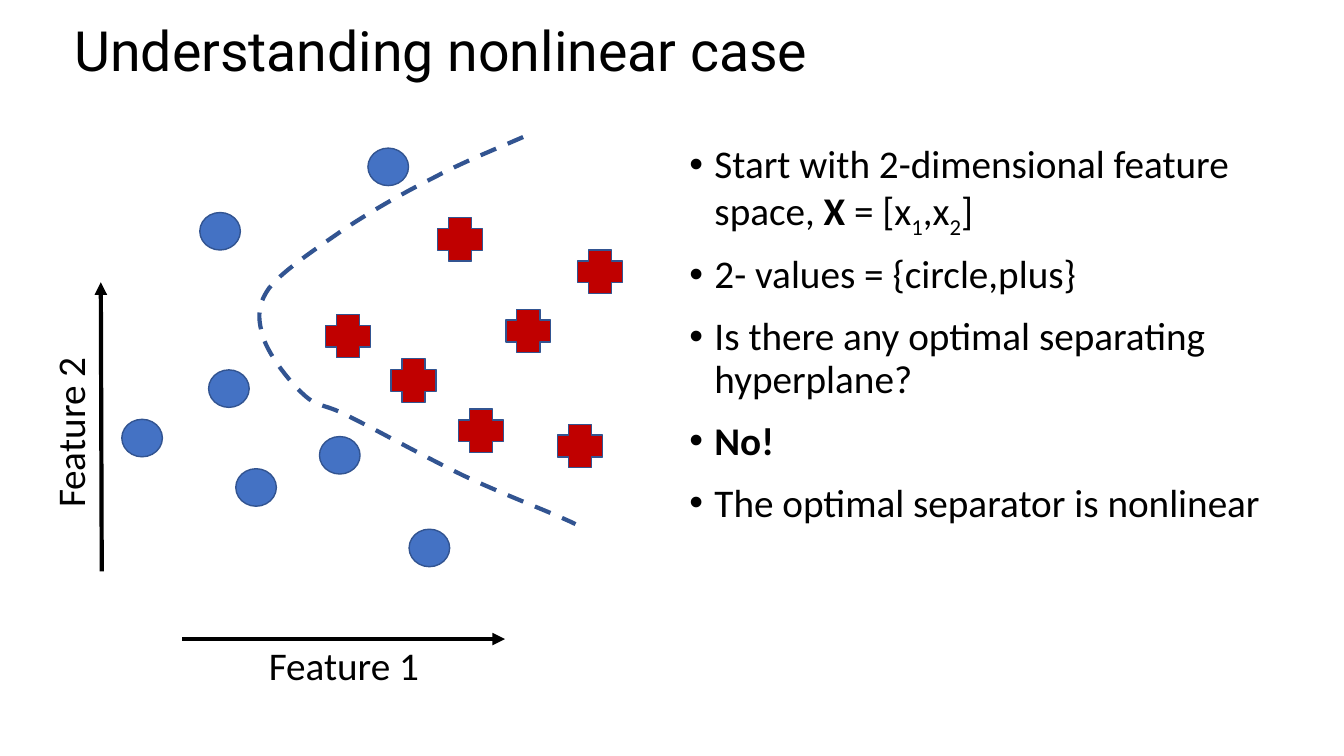
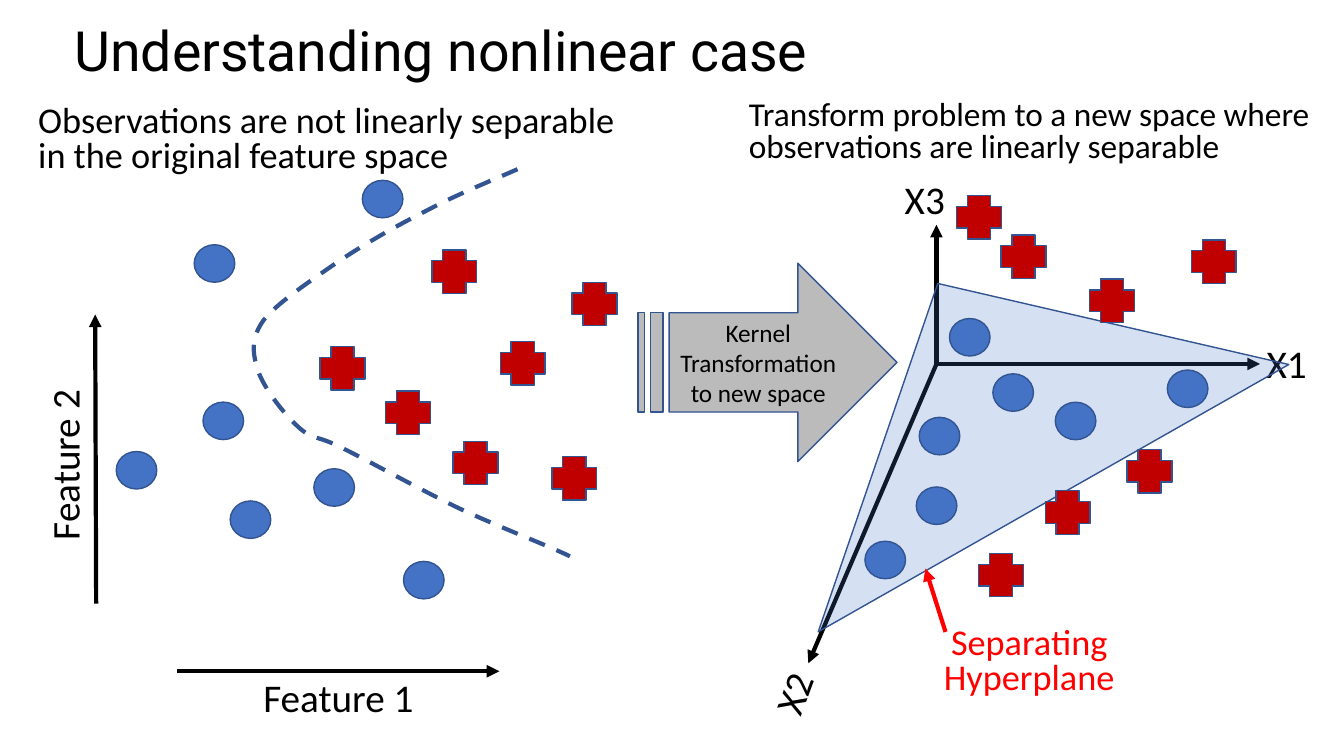
from pptx import Presentation
from pptx.dml.color import RGBColor
from pptx.enum.dml import MSO_LINE
from pptx.enum.shapes import MSO_CONNECTOR, MSO_SHAPE
from pptx.enum.text import MSO_ANCHOR, PP_ALIGN
from pptx.oxml.ns import qn
from pptx.oxml.xmlchemy import OxmlElement
from pptx.util import Pt

STRAIGHT = MSO_CONNECTOR.STRAIGHT
DASH = MSO_LINE.DASH
OVAL, PLUS = MSO_SHAPE.OVAL, MSO_SHAPE.CROSS
TRIANGLE, STRIPED_ARROW = MSO_SHAPE.ISOSCELES_TRIANGLE, MSO_SHAPE.STRIPED_RIGHT_ARROW
LEFT, CENTER = PP_ALIGN.LEFT, PP_ALIGN.CENTER
TOP, MIDDLE = MSO_ANCHOR.TOP, MSO_ANCHOR.MIDDLE

BLACK, RED, GRAY = "000000", "FF0000", "181717"
BLUE, DARK_BLUE, CRIMSON = "4472C4", "325491", "C00000"
BODY_FONT, TITLE_FONT = "Calibri", "Roboto"
CIRCLE_SIZE, PLUS_SIZE = (29, 26.8), (32, 31)
LABEL_HEIGHT = 35.3

PLOT_CIRCLES = [(292.2, 378), (142.7, 151.8), (262.8, 105.8), (87, 299.5),
                (149, 264.2), (228.2, 311.8), (168.4, 334.8)]
PLOT_PLUSES = [(312.5, 155.5), (398.2, 303.1), (279.4, 256.3), (361.4, 221),
               (327.6, 292.2), (232.6, 224.6), (412.6, 178.6)]
SPACE_CIRCLES = [(833.8, 264.3), (617.8, 386.6), (709.2, 267), (656.6, 298.1),
                 (678.2, 227.5), (654.5, 347.8), (753.8, 287.3)]
SPACE_PLUSES = [(715, 167.8), (778.3, 199.4), (746.6, 350.6), (699.1, 395.3),
                (805, 321.1), (851, 171.4), (683.3, 139.7)]
BOUNDARY = [(373.7, 97.9),
            (352.1, 107.3), (330.5, 115.9), (308.9, 127.4),
            (287.3, 138.2), (263.5, 151.9), (244.1, 164.9),
            (224.6, 178.6), (201.6, 193.7), (192.2, 205.9),
            (182.9, 218.9), (184.3, 229.7), (188.6, 242.6),
            (193, 254.9), (207.4, 273.6), (218.2, 283),
            (228.2, 291.6), (231.8, 288), (250.6, 298.1),
            (269.3, 307.4), (304.6, 326.9), (331.2, 339.8),
            (358.6, 352.8), (396.7, 367.2), (411.1, 374.4)]
BULLETS = [
    [("Start with 2-dimensional feature space, ", ""), ("X", "bold"), (" = [x", ""),
     ("1", "sub"), (",x", ""), ("2", "sub"), ("]", "")],
    [("2- values = {circle,plus}", "")],
    [("Is there any optimal separating hyperplane?", "")],
    [("No!", "bold")],
    [("The optimal separator is nonlinear", "")],
]


def color(value):
    """Return the colour for a hex string."""
    return RGBColor.from_string(value)


def add_xml(parent, tag, **attributes):
    """Append an XML element with the given attributes."""
    child = OxmlElement(tag)
    for name, value in attributes.items():
        child.set(name, value)
    parent.append(child)


def format_run(r, size, ink=BLACK, font=BODY_FONT, bold=False):
    """Set the font of a run."""
    r.font.name, r.font.size, r.font.bold = font, Pt(size), bold
    r.font.color.rgb = color(ink)


def add_box(slide, x, y, w, h, anchor=TOP):
    """Add an empty wrapping text box."""
    sp = slide.shapes.add_textbox(Pt(x), Pt(y), Pt(w), Pt(h))
    sp.text_frame.word_wrap = True
    sp.text_frame.vertical_anchor = anchor
    return sp


def add_text(slide, text, x, y, w, h=LABEL_HEIGHT, size=28, ink=BLACK, align=LEFT, turn=0):
    """Add a tightly spaced label or caption."""
    sp = add_box(slide, x, y, w, h)
    sp.rotation = turn
    p = sp.text_frame.paragraphs[0]
    p.text = text
    p.alignment, p.line_spacing, p.space_before = align, 0.8, Pt(14)
    format_run(p.runs[0], size, ink)


def add_title(slide, text):
    """Add the slide title."""
    p = add_box(slide, 46, 17.3, 828, 41.8, MIDDLE).text_frame.paragraphs[0]
    p.text = text
    p.line_spacing = 0.9
    format_run(p.runs[0], 39.6, font=TITLE_FONT)


def add_bullets(slide, items, x, y, w, h):
    """Add a bulleted list made of styled runs."""
    tf = add_box(slide, x, y, w, h).text_frame
    for i, item in enumerate(items):
        p = tf.add_paragraph() if i else tf.paragraphs[0]
        p.line_spacing, p.space_before = 0.9, Pt(14)
        pPr = p._p.get_or_add_pPr()
        pPr.set("marL", str(Pt(18)))
        pPr.set("indent", str(-Pt(18)))
        add_xml(pPr, "a:buFont", typeface="Arial")
        add_xml(pPr, "a:buChar", char="•")
        for text, style in item:
            r = p.add_run()
            r.text = text
            format_run(r, 28, bold=style == "bold")
            if style == "sub":
                r._r.get_or_add_rPr().set("baseline", "-25000")


def add_shape(slide, kind, x, y, w, h, fill, opacity=100):
    """Add an outlined preset shape, optionally see-through."""
    sp = slide.shapes.add_shape(kind, Pt(x), Pt(y), Pt(w), Pt(h))
    sp.shadow.inherit = False
    sp.fill.solid()
    sp.fill.fore_color.rgb = color(fill)
    sp.line.color.rgb = color(DARK_BLUE)
    sp.line.width = Pt(1)
    if opacity < 100:
        solid = sp.element.spPr.find(qn("a:solidFill"))
        add_xml(solid[0], "a:alpha", val=str(opacity * 1000))
    return sp


def add_markers(slide, circles, pluses, dx=0, dy=0):
    """Scatter the markers of both classes."""
    for kind, size, fill, points in ((OVAL, CIRCLE_SIZE, BLUE, circles),
                                     (PLUS, PLUS_SIZE, CRIMSON, pluses)):
        for x, y in points:
            add_shape(slide, kind, x + dx, y + dy, *size, fill)


def add_arrow(slide, start, end, ink=BLACK):
    """Add a straight arrow."""
    sp = slide.shapes.add_connector(STRAIGHT, *map(Pt, start + end))
    sp.line.color.rgb = color(ink)
    sp.line.width = Pt(3)
    spPr = sp.element.spPr
    add_xml(spPr.find(qn("a:ln")), "a:tailEnd", type="triangle")
    add_xml(spPr, "a:effectLst")


def bezier_points(knots, steps=12):
    """Return points along a chain of cubic Bezier curves."""
    points = [knots[0]]
    for i in range(0, len(knots) - 1, 3):
        for step in range(1, steps + 1):
            t = step / steps
            weights = ((1 - t) ** 3, 3 * t * (1 - t) ** 2, 3 * t * t * (1 - t), t ** 3)
            points.append(tuple(sum(k * c for k, c in zip(weights, axis))
                                for axis in zip(*knots[i:i + 4])))
    return points


def add_curve(slide, knots, dx, dy):
    """Add the dashed class boundary."""
    points = [(Pt(x + dx), Pt(y + dy)) for x, y in bezier_points(knots)]
    builder = slide.shapes.build_freeform(*points[0])
    builder.add_line_segments(points[1:], close=False)
    sp = builder.convert_to_shape()
    sp.shadow.inherit = False
    sp.fill.background()
    sp.line.color.rgb = color(DARK_BLUE)
    sp.line.width = Pt(3)
    sp.line.dash_style = DASH


def add_feature_plot(slide, dx=0, dy=0):
    """Draw the two-feature scatter plot with its boundary."""
    add_markers(slide, PLOT_CIRCLES, PLOT_PLUSES, dx, dy)
    add_arrow(slide, (130.3 + dx, 456.5 + dy), (360.7 + dx, 456.5 + dy))
    add_text(slide, "Feature 1", 185 + dx, 460.8 + dy, 150)
    add_arrow(slide, (72.7 + dx, 408.2 + dy), (72 + dx, 201.6 + dy))
    add_text(slide, "Feature 2", -21.6 + dx, 277.2 + dy, 150, turn=270)
    add_curve(slide, BOUNDARY, dx, dy)


def add_kernel_space(slide):
    """Draw the three-axis space with its separating plane."""
    origin = (668.9, 260)
    add_text(slide, "X1", 896.4, 245.5, 45.4, align=CENTER)
    add_text(slide, "X2", 543.6, 478.8, 52.6, align=CENTER, turn=290.4)
    add_text(slide, "X3", 637.9, 128.2, 45.4, align=CENTER)
    for tip in ((900, 260), (577.4, 473.8), (668.9, 160.6)):
        add_arrow(slide, origin, tip)
    plane = add_shape(slide, TRIANGLE, 516.2, 193, 386.6, 174.2, BLUE, 22)
    plane.adjustments[0] = 0.51
    plane.rotation = 330.4
    add_markers(slide, SPACE_CIRCLES, SPACE_PLUSES)
    add_text(slide, "Separating Hyperplane", 660.2, 445, 150, 63.4, 25.9, RED, CENTER)
    add_arrow(slide, (675.4, 451.4), (661, 406.1), RED)


def add_kernel_arrow(slide, text):
    """Add the labelled block arrow between the two spaces."""
    sp = add_shape(slide, STRIPED_ARROW, 455.8, 188, 185, 141.8, GRAY, 29)
    tf = sp.text_frame
    tf.word_wrap, tf.vertical_anchor = True, MIDDLE
    p = tf.paragraphs[0]
    p.text = text
    p.alignment = CENTER
    format_run(p.runs[0], 18)


def add_slide(prs):
    """Add a blank slide with the shared title."""
    slide = prs.slides.add_slide(prs.slide_layouts[6])
    add_title(slide, "Understanding nonlinear case")
    return slide


def main():
    """Build and save the deck."""
    prs = Presentation()
    prs.slide_width, prs.slide_height = Pt(960), Pt(540)

    slide = add_slide(prs)
    add_bullets(slide, BULLETS, 485.3, 100, 463, 378)
    add_feature_plot(slide)

    slide = add_slide(prs)
    add_feature_plot(slide, -4, 23)
    add_kernel_space(slide)
    add_kernel_arrow(slide, "Kernel Transformation to new space")
    add_text(slide, "Transform problem to a new space where observations are linearly separable",
             527.8, 68.4, 428.4, 61.2, 23.8)
    add_text(slide, "Observations are not linearly separable in the original feature space",
             20.2, 72, 442, 59, 25.9)

    prs.save("out.pptx")


if __name__ == "__main__":
    main()
